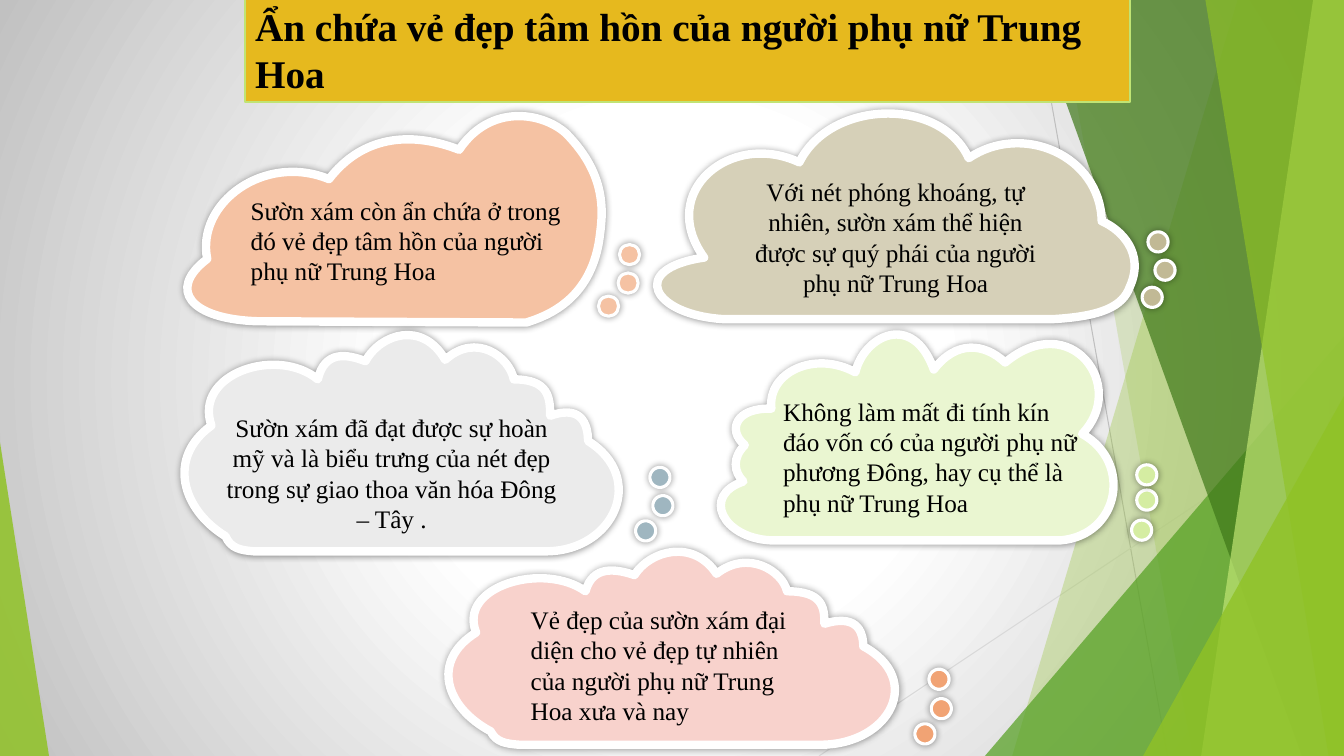
from dataclasses import dataclass

from lxml.etree import SubElement
from pptx import Presentation
from pptx.dml.color import RGBColor
from pptx.enum.shapes import MSO_CONNECTOR as Connector, MSO_SHAPE as Shape
from pptx.enum.text import MSO_ANCHOR as Anchor, MSO_AUTO_SIZE as AutoSize, PP_ALIGN as Align
from pptx.oxml.ns import qn
from pptx.util import Pt

WIDTH, HEIGHT = 960, 540
DOT_SIZE = 14.4


@dataclass(frozen=True)
class Theme:
    font: str = "Times New Roman"
    title_size: int = 28
    body_size: int = 18
    text: str = "000000"
    white: str = "FFFFFF"
    edge: str = "C1C1C1"
    gold: str = "E6B91E"
    lime: str = "C0E474"
    green: str = "90C226"
    mid_green: str = "54A021"
    dark_green: str = "3F7819"
    grey_line: str = "BFBFBF"
    pale_line: str = "D9D9D9"
    peach: str = "F5C2A3"
    sand: str = "D6D0B8"
    dark_sand: str = "C1B995"
    silver: str = "EBEBEB"
    steel: str = "9FB6C0"
    mint: str = "EAF6D1"
    dark_mint: str = "D5EDA2"
    rose: str = "F8D2CC"
    orange: str = "F1A374"


@dataclass(frozen=True)
class CloudOutline:
    frame: tuple
    start: tuple
    line_end: tuple
    curves: list


def write_text(shape, text, theme, size, bold=False, align=Align.LEFT, anchor=Anchor.TOP):
    frame = shape.text_frame
    frame.word_wrap = True
    frame.auto_size = AutoSize.NONE
    frame.vertical_anchor = anchor
    paragraph = frame.paragraphs[0]
    paragraph.alignment = align
    run = paragraph.add_run()
    run.text = text
    run.font.name = theme.font
    run.font.size = Pt(size)
    run.font.bold = bold
    run.font.color.rgb = RGBColor.from_string(theme.text)


class SlideBuilder:
    def __init__(self, slide, theme):
        self.slide = slide
        self.shapes = slide.shapes
        self.theme = theme

    def background(self):
        fill = self.slide.background.fill
        fill.gradient()
        colors = (self.theme.white, self.theme.edge)
        for stop, position, color in zip(fill.gradient_stops, (0.35, 1), colors):
            stop.position = position
            stop.color.rgb = RGBColor.from_string(color)
        gradient = self.slide.element.find(".//" + qn("a:gradFill"))
        linear = gradient.find(qn("a:lin"))
        circle = SubElement(gradient, qn("a:path"), path="circle")
        SubElement(circle, qn("a:fillToRect"), l="50000", t="50000", r="50000", b="50000")
        gradient.replace(linear, circle)

    def style(self, shape, color, line=None, weight=1, opacity=100, shadow=False):
        shape.fill.solid()
        shape.fill.fore_color.rgb = RGBColor.from_string(color)
        if opacity < 100:
            fill_color = shape.element.spPr.find(".//" + qn("a:srgbClr"))
            SubElement(fill_color, qn("a:alpha"), val=str(opacity * 1000))
        if line:
            shape.line.color.rgb = RGBColor.from_string(line)
            shape.line.width = Pt(weight)
        else:
            shape.line.fill.background()
        shape.shadow.inherit = False
        if shadow:
            effects = shape.element.spPr.find(qn("a:effectLst"))
            outer = SubElement(effects, qn("a:outerShdw"), blurRad=str(Pt(5)), dist="0",
                               dir="0", algn="ctr", rotWithShape="0")
            shade = SubElement(outer, qn("a:srgbClr"), val=self.theme.text)
            SubElement(shade, qn("a:alpha"), val="40000")

    def place(self, shape, box):
        shape.left, shape.top, shape.width, shape.height = map(Pt, box)

    def line(self, start, end, color):
        line = self.shapes.add_connector(Connector.STRAIGHT, *map(Pt, start + end))
        line.line.color.rgb = RGBColor.from_string(color)
        line.line.width = Pt(0.75)
        SubElement(line.element.spPr, qn("a:effectLst"))

    def outline(self, points):
        corners = [(Pt(x), Pt(y)) for x, y in points]
        builder = self.shapes.build_freeform(*corners[0], scale=1)
        builder.add_line_segments(corners[1:], close=True)
        return builder.convert_to_shape()

    def sliver(self, top, bottom, color, opacity):
        shape = self.outline([(top, 0), (WIDTH, 0), (WIDTH, HEIGHT), (bottom, HEIGHT)])
        self.style(shape, color, opacity=opacity)

    def triangle(self, left, top, width, apex, color, opacity):
        box = (left, top, width, HEIGHT - top)
        shape = self.shapes.add_shape(Shape.ISOSCELES_TRIANGLE, *map(Pt, box))
        shape.adjustments[0] = apex
        self.style(shape, color, opacity=opacity)

    def title(self, text, box):
        title = self.shapes.title
        self.place(title, box)
        self.style(title, self.theme.gold, line=self.theme.lime)
        write_text(title, text, self.theme, self.theme.title_size, bold=True, anchor=Anchor.MIDDLE)
        title.element.getparent().append(title.element)

    def cloud(self, cloud, box, color):
        shape = self.outline([cloud.start, cloud.line_end])
        self.place(shape, box)
        left, top, width, height = cloud.frame
        contour = shape.element.spPr.find(".//" + qn("a:path"))
        contour.set("w", str(Pt(width)))
        contour.set("h", str(Pt(height)))
        for child in list(contour):
            contour.remove(child)
        segments = [("a:moveTo", [cloud.start]), ("a:lnTo", [cloud.line_end])]
        segments += [("a:cubicBezTo", curve) for curve in cloud.curves]
        for tag, points in segments:
            segment = SubElement(contour, qn(tag))
            for x, y in points:
                SubElement(segment, qn("a:pt"), x=str(Pt(x - left)), y=str(Pt(y - top)))
        SubElement(contour, qn("a:close"))
        self.style(shape, color, line=self.theme.white, weight=6, shadow=True)

    def dots(self, corners, color, rotation):
        for left, top in corners:
            dot = self.shapes.add_shape(Shape.OVAL, *map(Pt, (left, top, DOT_SIZE, DOT_SIZE)))
            dot.rotation = rotation
            self.style(dot, color, line=self.theme.white, weight=2.25, shadow=True)

    def text(self, text, box, **text_format):
        shape = self.shapes.add_textbox(*map(Pt, box))
        write_text(shape, text, self.theme, self.theme.body_size, **text_format)


RIGHT_LEANING = CloudOutline((133.2, 83.5, 296.6, 146.9), (184, 229.5), (376, 230.4), [
    ((390, 226), (421, 215), (428, 172)), ((430, 156), (436, 127), (404, 95)),
    ((387, 80), (350, 74), (328, 107)), ((292, 93), (258, 98), (235, 128)),
    ((189, 109), (140, 145), (148, 185)), ((119, 207), (136, 228), (184, 229.5))])
WIDE = CloudOutline((468.7, 81.4, 341.3, 146.9), (517, 228), (752, 228), [
    ((787, 226), (802, 219), (807, 205)), ((818, 181), (801, 164), (787, 158)),
    ((786, 111), (730, 87), (692, 113)), ((672, 69), (593, 71), (571, 116)),
    ((522, 93), (469, 137), (503, 184)), ((448, 192), (466, 225), (517, 228))])
FLUFFY = CloudOutline((131.8, 239, 310.3, 154.8), (181, 393.8), (391, 393.8), [
    ((439, 393), (462, 341), (420, 315)), ((420, 307), (418, 288), (393, 297)),
    ((393, 284), (392, 271), (367, 271)), ((364, 255), (340, 237), (318, 257)),
    ((302, 229), (272, 238), (261, 258)), ((248, 253), (232, 250), (227, 271)),
    ((198, 247), (138, 267), (151, 304)), ((119, 327), (130, 364), (161, 383)),
    ((165, 392), (172, 393), (181, 393.8))])
BUMPY = CloudOutline((514.8, 239, 280.1, 146.9), (550, 386), (758, 386), [
    ((800, 382), (809, 330), (773, 310)), ((806, 276), (765, 220), (718, 259)),
    ((703, 245), (683, 243), (667, 264)), ((652, 222), (617, 240), (611, 266)),
    ((582, 250), (548, 266), (551, 292)), ((526, 291), (519, 307), (532, 318)),
    ((523, 327), (524, 337), (531, 344)), ((501, 354), (516, 384), (550, 386))])


def main():
    presentation = Presentation()
    presentation.slide_width, presentation.slide_height = Pt(WIDTH), Pt(HEIGHT)
    theme = Theme()
    builder = SlideBuilder(presentation.slides.add_slide(presentation.slide_layouts[5]), theme)
    builder.background()
    builder.line((738, 0), (834, HEIGHT), theme.grey_line)
    builder.line((WIDTH, 290), (585, HEIGHT), theme.pale_line)
    builder.sliver(884, 723, theme.green, 30)
    builder.sliver(756, 852, theme.green, 20)
    builder.triangle(703.5, 240, 256.5, 1, theme.mid_green, 72)
    builder.sliver(735, 930, theme.dark_green, 70)
    builder.sliver(938, 858, theme.lime, 70)
    builder.sliver(861, 949, theme.green, 65)
    builder.triangle(816.5, 283, 143.5, 1, theme.green, 80)
    builder.triangle(0, 316, 35, 0, theme.green, 85)
    builder.title("Ẩn chứa vẻ đẹp tâm hồn của người phụ nữ Trung Hoa", (175, -2, 632.3, 75))

    centred = {"align": Align.CENTER, "anchor": Anchor.MIDDLE}
    ideas = [
        (RIGHT_LEANING, RIGHT_LEANING.frame, theme.peach,
         [(427.5, 211.5), (441.5, 195), (442.5, 174.7)], theme.peach, 0,
         "Sườn xám còn ẩn chứa ở trong đó vẻ đẹp tâm hồn của người phụ nữ Trung Hoa",
         (172, 135.8, 241, 73), {}),
        (WIDE, WIDE.frame, theme.sand,
         [(815.8, 205.2), (825, 185.8), (820, 165.6)], theme.dark_sand, 343.7,
         "Với nét phóng khoáng, tự nhiên, sườn xám thể hiện được sự quý phái của người phụ nữ "
         "Trung Hoa", (525, 122, 229.5, 94.5), centred),
        (FLUFFY, FLUFFY.frame, theme.silver,
         [(454, 372), (466.3, 354), (464.2, 333.8)], theme.steel, 352.7,
         "Sườn xám đã đạt được sự hoàn mỹ và là biểu trưng của nét đẹp trong sự giao thoa "
         "văn hóa Đông – Tây .", (150.5, 290.5, 258.5, 94.5), centred),
        (BUMPY, BUMPY.frame, theme.mint,
         [(808.3, 371.5), (812, 350), (812, 332)], theme.dark_mint, 343.7,
         "Không làm mất đi tính kín đáo vốn có của người phụ nữ phương Đông, hay cụ thể là "
         "phụ nữ Trung Hoa", (552.3, 279.5, 234, 94.5), {}),
        (FLUFFY, (320.4, 393.8, 319, 138.2), theme.rose,
         [(653.5, 517), (665.2, 499), (663.6, 478)], theme.orange, 352.7,
         "Vẻ đẹp của sườn xám đại diện cho vẻ đẹp tự nhiên của người phụ nữ Trung Hoa xưa "
         "và nay", (372, 428.2, 214.5, 116.5), {}),
    ]
    for cloud, box, color, corners, dot_color, rotation, text, text_box, text_format in ideas:
        builder.cloud(cloud, box, color)
        builder.dots(corners, dot_color, rotation)
        builder.text(text, text_box, **text_format)
    presentation.save("out.pptx")


if __name__ == "__main__":
    main()
